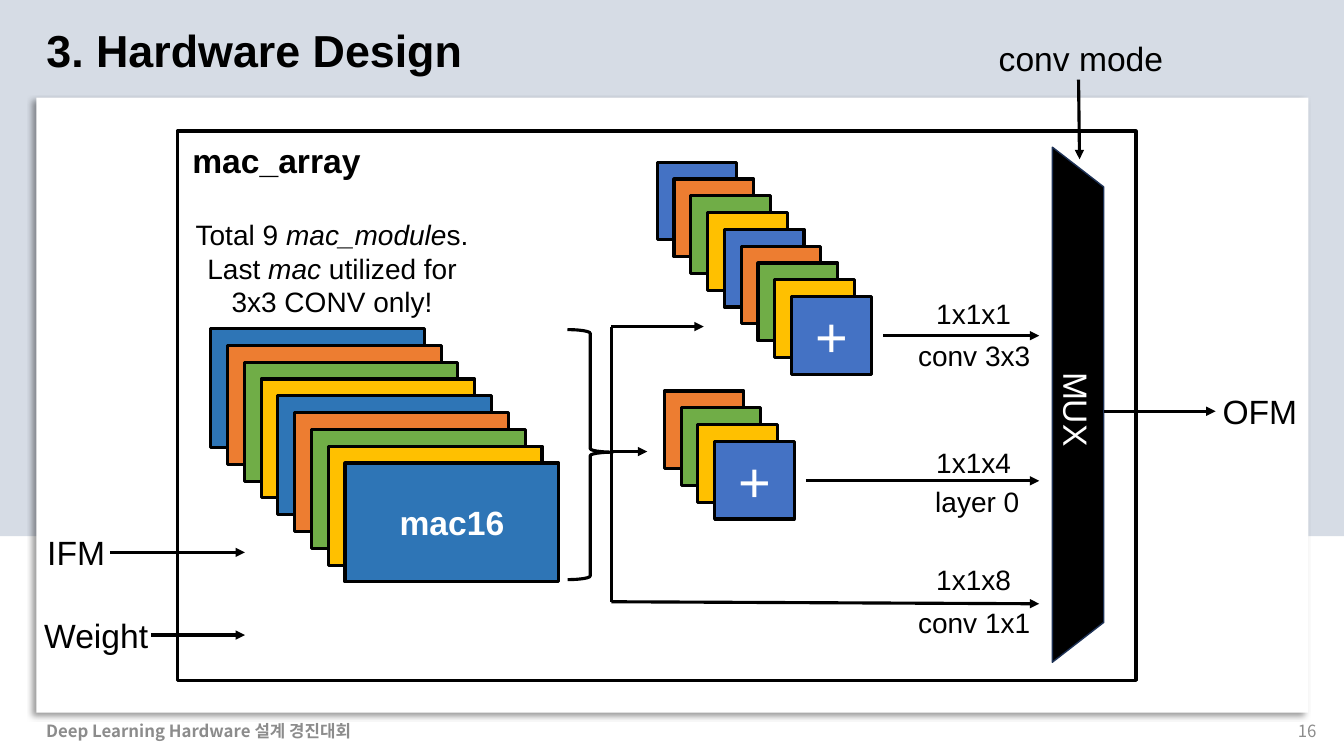
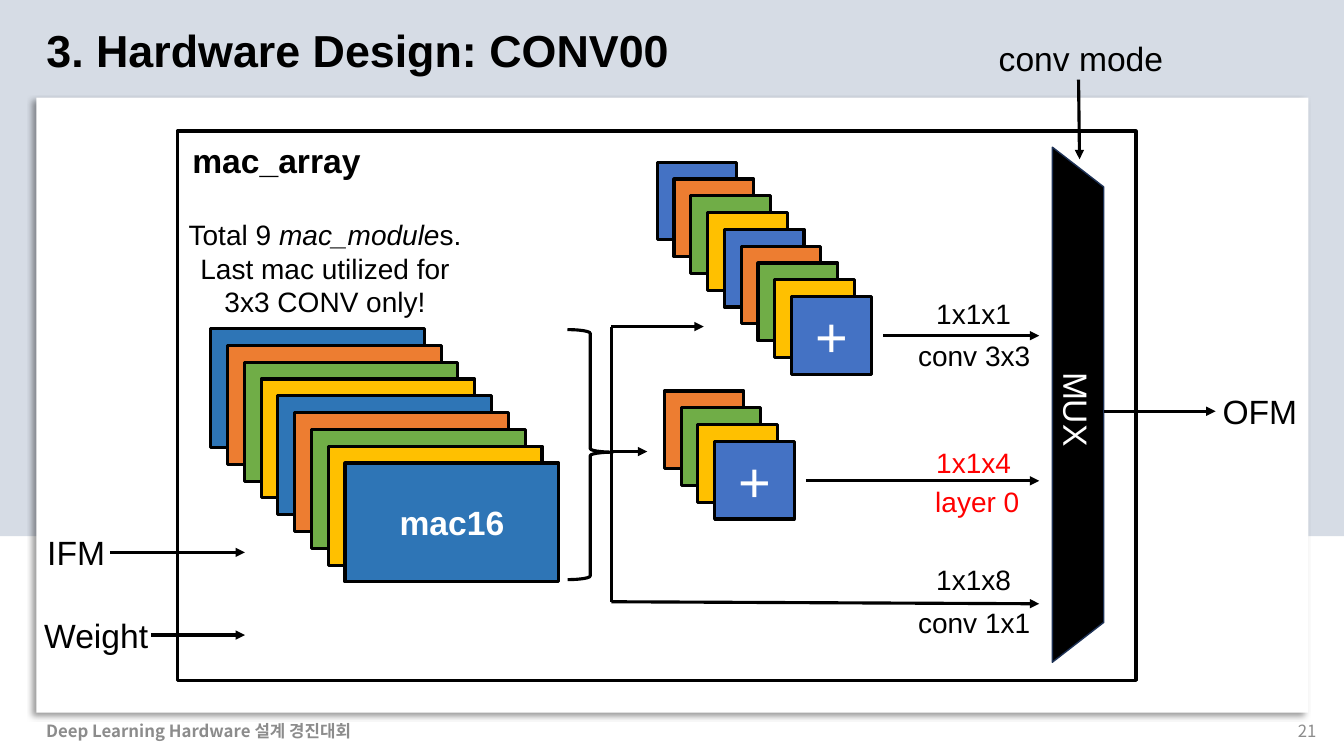
from itertools import cycle, islice

from lxml.etree import SubElement
from pptx import Presentation
from pptx.dml.color import RGBColor
from pptx.enum.shapes import MSO_CONNECTOR, MSO_SHAPE
from pptx.enum.text import MSO_ANCHOR, MSO_AUTO_SIZE, PP_ALIGN
from pptx.oxml.ns import qn
from pptx.util import Emu, Inches, Pt

COLS, ROWS = 80, 45
UNIT = Inches(1) / 6
FONT, FOOTER_FONT = "Arial", "Noto Sans CJK KR"
COLOURS = {
    "black": "000000", "white": "FFFFFF", "band": "D6DCE5", "footer": "8C8C8C",
    "mac": "2E75B6", "blue": "4472C4", "orange": "ED7D31", "green": "70AD47",
    "yellow": "FFC000", "navy": "1E3256", "red": "FF0000",
}


def rgb(name):
    return RGBColor.from_string(COLOURS[name])


def grid(*lengths):
    """Turn columns and rows into EMU."""
    return [Emu(round(n * UNIT)) for n in lengths]


def style(p, size, colour="black", bold=False, font=FONT, align=PP_ALIGN.LEFT):
    p.alignment = align
    for r in p.runs:
        f = r.font
        f.size, f.bold, f.name = Pt(size), bold, font
        f.color.rgb = rgb(colour)
        SubElement(r._r.get_or_add_rPr(), qn("a:ea")).set("typeface", font)


def add_box(sl, kind, box, fill=None, line="black", width=2.25):
    sp = sl.shapes.add_shape(kind, *grid(*box))
    sp.shadow.inherit = False
    if fill:
        sp.fill.solid()
        sp.fill.fore_color.rgb = rgb(fill)
    else:
        sp.fill.background()
    if line:
        sp.line.color.rgb = rgb(line)
        sp.line.width = Pt(width)
    else:
        sp.line.fill.background()
    return sp


def caption(sp, text, size, bold=False):
    tf = sp.text_frame
    tf.text = text
    tf.vertical_anchor = MSO_ANCHOR.MIDDLE
    style(tf.paragraphs[0], size, "white", bold, align=PP_ALIGN.CENTER)


def label(sl, text, x, y, w, size=24, wrap=False, **look):
    """One-line text whose box height follows from its size."""
    h = 3 if size == 24 else 2.64
    tf = sl.shapes.add_textbox(*grid(x, y, w, h)).text_frame
    tf.word_wrap = wrap
    tf.auto_size = MSO_AUTO_SIZE.SHAPE_TO_FIT_TEXT
    tf.text = text
    style(tf.paragraphs[0], size, **look)


def wire(sl, x1, y1, x2, y2, arrow=True):
    c = sl.shapes.add_connector(MSO_CONNECTOR.STRAIGHT, *grid(x1, y1, x2, y2))
    c.line.color.rgb = rgb("black")
    c.line.width = Pt(2.25)
    sp_pr = c._element.spPr
    if arrow:
        SubElement(sp_pr.find(qn("a:ln")), qn("a:tailEnd")).set("type", "triangle")
    SubElement(sp_pr, qn("a:effectLst"))


def backdrop(layout, sl):
    """Draw the band and the card on sl, then move them to its layout."""
    band = add_box(sl, MSO_SHAPE.RECTANGLE, (0, 0, COLS, 31.92), "band", None)
    card = add_box(sl, MSO_SHAPE.RECTANGLE, (2.16, 5.82, 75.72, 36.6), "white", None)
    effects = card._element.spPr.find(qn("a:effectLst"))
    shadow = SubElement(effects, qn("a:outerShdw"), blurRad=str(Pt(4)),
                        dist=str(Pt(3)), dir="8100000", rotWithShape="0")
    tint = SubElement(shadow, qn("a:srgbClr"), val=COLOURS["black"])
    SubElement(tint, qn("a:alpha"), val="40000")
    for i, sp in enumerate((band, card), start=2):
        layout.shapes.element.insert(i, sp._element)


def title_and_footer(sl, title, number):
    ph = sl.shapes.title
    ph.left, ph.top, ph.width, ph.height = grid(2.16, 1.08, 54, 3.84)
    tf = ph.text_frame
    tf.text = title
    tf.auto_size = MSO_AUTO_SIZE.NONE
    tf.vertical_anchor = MSO_ANCHOR.TOP
    style(tf.paragraphs[0], 32, bold=True)
    for text, x, w, bold, align in (
            (str(number), 60.96, 18, False, PP_ALIGN.RIGHT),
            ("Deep Learning Hardware 설계 경진대회", 2.16, 27, True, PP_ALIGN.LEFT)):
        tf = sl.shapes.add_textbox(*grid(x, 42.3, w, 2.4)).text_frame
        tf.word_wrap = True
        tf.vertical_anchor = MSO_ANCHOR.MIDDLE
        tf.text = text
        style(tf.paragraphs[0], 12, "footer", bold, FOOTER_FONT, align)


def stack(sl, x, y, w, h, colours, text, size, bold=False):
    """Cards one grid unit apart, with the text on the front one."""
    for i, colour in enumerate(colours):
        sp = add_box(sl, MSO_SHAPE.RECTANGLE, (x + i, y + i, w, h), colour)
    caption(sp, text, size, bold)


def note(sl, x, y, w, lines):
    """Centred lines; the parts between asterisks are italic."""
    tf = sl.shapes.add_textbox(*grid(x, y, w, 6.66)).text_frame
    tf.word_wrap = True
    for i, line in enumerate(lines):
        p = tf.add_paragraph() if i else tf.paragraphs[0]
        for j, part in enumerate(line.split("*")):
            r = p.add_run()
            r.text = part
            r.font.italic = j % 2 == 1
        style(p, 20, align=PP_ALIGN.CENTER)


def mac_modules(sl, x, y):
    colours = islice(cycle(("mac", "orange", "green", "yellow")), 9)
    stack(sl, x, y, 12.72, 7.08, colours, "mac16", 24, bold=True)
    brace = add_box(sl, MSO_SHAPE.LEFT_BRACE, (x + 21.24, y + 0.06, 2.7, 14.88))
    brace.rotation = 180
    brace.adjustments[0], brace.adjustments[1] = 0.08, 0.51


def adders(sl, x, y):
    ring = ("blue", "orange", "green", "yellow")
    for dx, dy, colours in ((0, 0, islice(cycle(ring), 9)),
                            (0.42, 13.62, ring[1:] + ring[:1])):
        stack(sl, x + dx, y + dy, 4.74, 4.62, colours, "+", 40)


def inputs(sl, x, y):
    """Input names left of the frame edge x, with arrows across it."""
    for text, dy, left, w, start in (("IFM", 0, -8.34, 4.68, -4.02),
                                     ("Weight", 4.92, -8.52, 7.44, -1.56)):
        label(sl, text, x + left, y + dy - 1.5, w)
        wire(sl, x + start, y + dy, x + 4.02, y + dy)


def branches(sl, x, y):
    """Trunk that feeds both adder stacks, from its top end."""
    wire(sl, x, y, x, y + 16.38, arrow=False)
    wire(sl, x, y, x + 5.5, y)
    wire(sl, x, y + 7.44, x + 2.14, y + 7.44)


def mux_paths(sl, x, y, end, layer_colour):
    """Three labelled arrows to the column end; x is the trunk, y the first arrow."""
    for start, y1, y2, top, lift, bottom, left, colour in (
            (16.2, 0, 0, "1x1x1", 2.64, "conv 3x3", -7.8, "black"),
            (11.58, 8.64, 8.64, "1x1x4", 2.4, "layer 0", -6.78, layer_colour),
            (0, 15.84, 15.96, "1x1x8", 2.64, "conv 1x1", -7.8, "black")):
        wire(sl, x + start, y + y1, end, y + y2)
        for text, dx, dy, w in ((top, -6.72, -lift, 6.5), (bottom, left, -0.1, 8.16)):
            label(sl, text, end + dx, y + y1 + dy, w, 20, wrap=True, colour=colour)


def mux(sl, x, y, w, h):
    """Upright trapezoid in the given box, with its select line and output."""
    turned = (x + (w - h) / 2, y + (h - w) / 2, h, w)
    sp = add_box(sl, MSO_SHAPE.TRAPEZOID, turned, "black", "navy", 1)
    sp.rotation = 90
    sp.adjustments[0] = 0.775
    caption(sp, " MUX", 24)
    wire(sl, x + w, y + 15.72, x + 9.72, y + 15.72)
    label(sl, "OFM", x + 9.54, y + 14.22, 5.7)
    wire(sl, x + 1.56, y - 4.02, x + 1.62, y + 0.72)
    label(sl, "conv mode", x - 3.78, y - 6.78, 11.1)


def mac_array(sl, x, y, w, h, note_lines, note_width, layer_colour):
    add_box(sl, MSO_SHAPE.RECTANGLE, (x, y, w, h))
    label(sl, "mac_array", x + 0.3, y + 0.24, 11.34, bold=True)
    mac_modules(sl, x + 1.98, y + 11.76)
    note(sl, x - 0.18, y + 4.86, note_width, note_lines)
    adders(sl, x + 28.56, y + 1.86)
    inputs(sl, x, y + 25.08)
    branches(sl, x + 25.83, y + 11.64)
    mux_paths(sl, x + 25.83, y + 12.18, x + 51.3, layer_colour)
    mux(sl, x + 52.08, y + 0.96, 3.06, 30.66)


def main():
    prs = Presentation()
    prs.slide_width, prs.slide_height = grid(COLS, ROWS)
    layout = prs.slide_layouts[5]
    total = "Total 9 *mac_module*s."
    for i, (title, number, last, note_width, layer_colour) in enumerate((
            ("3. Hardware Design", 16, "Last *mac* utilized for 3x3 CONV only!",
             18.78, "black"),
            ("3. Hardware Design: CONV00", 21, "Last mac utilized for 3x3 CONV only!",
             17.94, "red"))):
        sl = prs.slides.add_slide(layout)
        if i == 0:
            backdrop(layout, sl)
        title_and_footer(sl, title, number)
        mac_array(sl, 10.56, 7.8, 57.06, 32.7, (total, last), note_width, layer_colour)
    prs.save("out.pptx")


if __name__ == "__main__":
    main()
